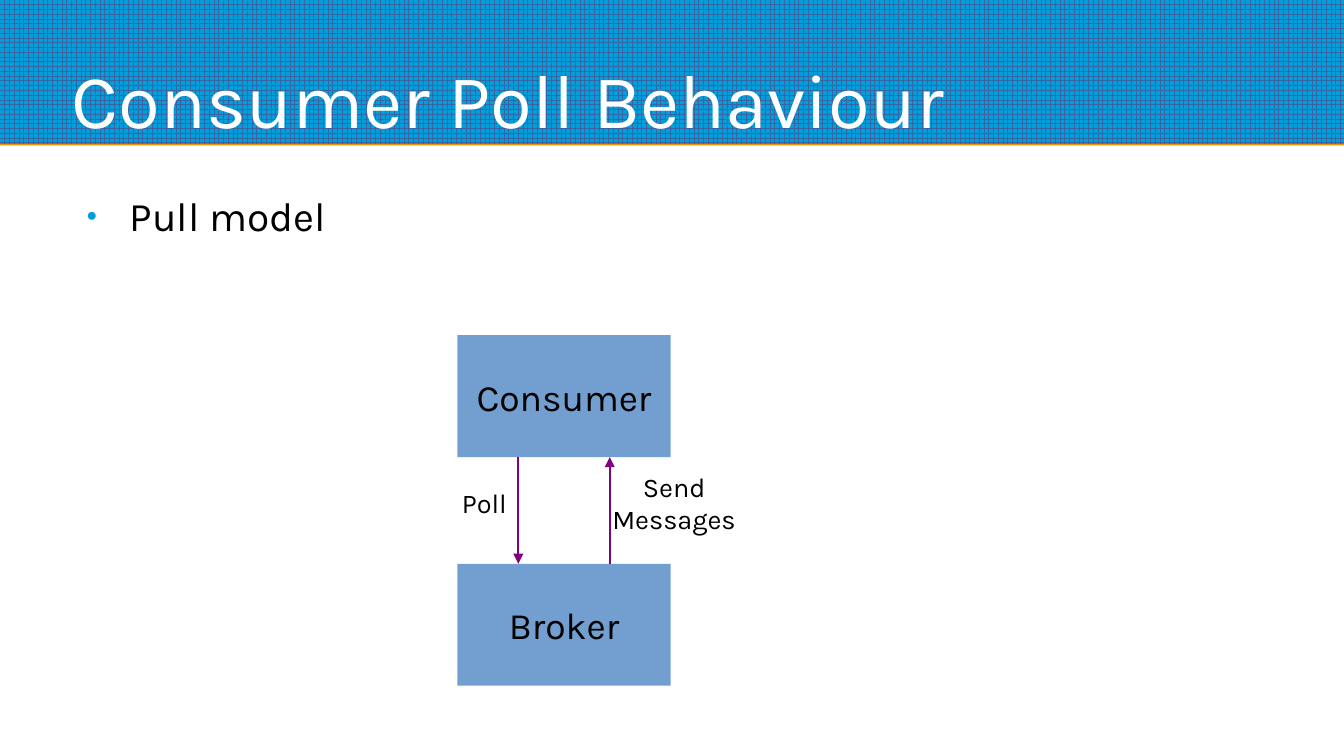
"""Build the Consumer Poll Behaviour slide."""
from lxml.etree import SubElement
from pptx import Presentation
from pptx.dml.color import RGBColor
from pptx.enum.dml import MSO_PATTERN
from pptx.enum.shapes import MSO_CONNECTOR, MSO_SHAPE
from pptx.enum.text import MSO_ANCHOR, MSO_AUTO_SIZE, PP_ALIGN
from pptx.oxml.ns import qn
from pptx.util import Pt

BLUE = RGBColor(0x00, 0x9E, 0xDA)
GRID = RGBColor(0x34, 0x65, 0xA4)
ORANGE = RGBColor(0xF4, 0x91, 0x00)
BOX = RGBColor(0x72, 0x9F, 0xCF)
PURPLE = RGBColor(0x80, 0x00, 0x80)
WHITE = RGBColor(0xFF, 0xFF, 0xFF)
BLACK = RGBColor(0x00, 0x00, 0x00)


def put(obj, fmt):
    for name, value in fmt.items():
        setattr(obj, name, value)


def write(sp, text, size, color=BLACK, align=PP_ALIGN.CENTER,
          anchor=MSO_ANCHOR.MIDDLE, inset=2.88):
    tf = sp.text_frame
    put(tf, {"word_wrap": True, "auto_size": MSO_AUTO_SIZE.NONE,
             "vertical_anchor": anchor,
             "margin_left": Pt(inset), "margin_right": Pt(inset),
             "margin_top": Pt(inset), "margin_bottom": Pt(inset)})
    p = tf.paragraphs[0]
    put(p, {"alignment": align, "space_before": Pt(0)})
    r = p.add_run()
    r.text = text
    put(r.font, {"name": "Karla", "size": Pt(size)})
    r.font.color.rgb = color
    return p


prs = Presentation()
put(prs, {"slide_width": Pt(793.5), "slide_height": Pt(446.5)})
s = prs.slides.add_slide(prs.slide_layouts[1])
title, body = s.placeholders

rule = s.shapes.add_shape(MSO_SHAPE.RECTANGLE, 0, Pt(85), prs.slide_width, Pt(0.9))
rule.fill.solid()
rule.fill.fore_color.rgb = ORANGE
band = s.shapes.add_shape(MSO_SHAPE.RECTANGLE, 0, 0, prs.slide_width, Pt(85))
band.fill.patterned()
band.fill.pattern = MSO_PATTERN.LARGE_GRID
band.fill.fore_color.rgb = GRID
band.fill.back_color.rgb = BLUE
for sp in (band, rule):
    sp.shadow.inherit = False
    sp.line.fill.background()
    s.shapes._spTree.insert(2, sp._element)

put(title, {"left": Pt(42.5), "top": Pt(7), "width": Pt(708.5), "height": Pt(78)})
write(title, "Consumer Poll Behaviour", 45, WHITE, PP_ALIGN.LEFT, MSO_ANCHOR.BOTTOM, 0)

put(body, {"left": Pt(42.5), "top": Pt(113), "width": Pt(708.5), "height": Pt(67)})
p = write(body, "Pull model", 24, BLACK, PP_ALIGN.LEFT, MSO_ANCHOR.TOP, 0)
p.space_after = Pt(10.5)
pPr = p._p.get_or_add_pPr()
pPr.set("marL", str(Pt(34)))
pPr.set("indent", str(-Pt(25.5)))
SubElement(SubElement(pPr, qn("a:buClr")), qn("a:srgbClr"), val=str(BLUE))
SubElement(pPr, qn("a:buSzPct"), val="45000")
SubElement(pPr, qn("a:buChar"), char="●")

for text, top in (("Consumer", 198), ("Broker", 333)):
    sp = s.shapes.add_shape(MSO_SHAPE.RECTANGLE, Pt(270), Pt(top), Pt(126), Pt(72))
    sp.shadow.inherit = False
    sp.fill.solid()
    sp.fill.fore_color.rgb = BOX
    sp.line.fill.background()
    write(sp, text, 22)

for x, start, end in ((306, 270, 333), (360, 333, 270)):
    arrow = s.shapes.add_connector(MSO_CONNECTOR.STRAIGHT, Pt(x), Pt(start), Pt(x), Pt(end))
    arrow.line.width = Pt(1.42)
    arrow.line.color.rgb = PURPLE
    SubElement(arrow.line._get_or_add_ln(), qn("a:tailEnd"), type="triangle")
    SubElement(arrow._element.spPr, qn("a:effectLst"))

for text, left, width in (("Poll", 250, 72), ("Send Messages", 346, 104)):
    label = s.shapes.add_textbox(Pt(left), Pt(288), Pt(width), Pt(18))
    write(label, text, 16)

prs.save("out.pptx")
